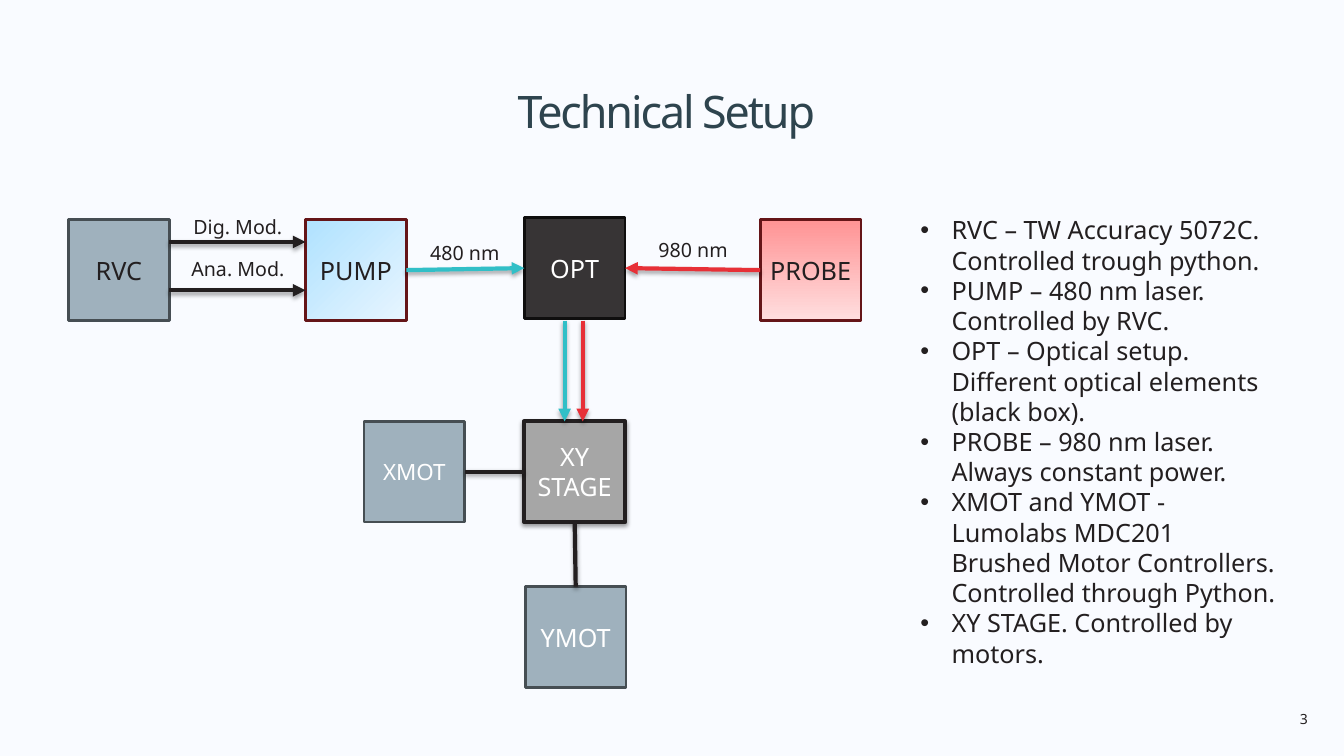
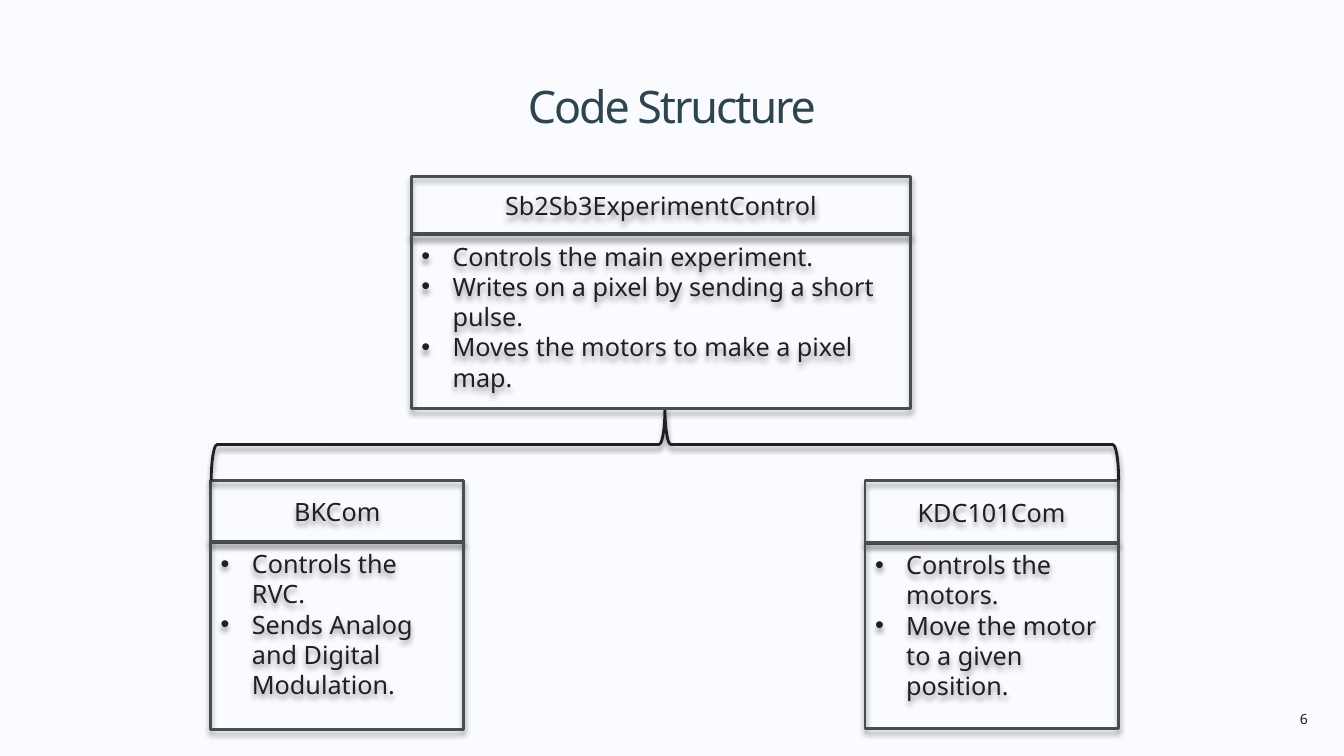
from lxml.etree import SubElement
from pptx import Presentation
from pptx.dml.color import RGBColor
from pptx.enum.shapes import MSO_CONNECTOR, MSO_SHAPE
from pptx.enum.text import MSO_ANCHOR, PP_ALIGN
from pptx.oxml.ns import qn
from pptx.util import Pt

SCALE = 9144  # EMU in one px, 100 px to the inch
FONT = "Noto Sans"
HUES = {
    "back": "F9FBFF", "title": "2E444E", "ink": "231F20", "white": "FFFFFF",
    "steel": "9FB1BD", "edge": "464E53", "stage": "A6A6A6", "rim": "0F0E0E",
    "wine": "651518", "cyan": "31BFC7", "red": "E73037", "black": "000000",
    "sky": "B0E2FF", "pale": "E7F5FF", "rose": "FF9394", "blush": "FFDEDF",
}
SIDE = 100
INDENT = 31
TOP, LEFT, BASE, RIGHT = range(4)


def px(*vals):
    return [val * SCALE for val in vals]


def hue(name):
    return RGBColor.from_string(HUES[name])


def shade(item, blur, dist, alpha):
    """Give a shape or connector a soft shadow straight below it."""
    props = item._element.spPr
    list_ = props.find(qn("a:effectLst"))
    if list_ is None:
        list_ = SubElement(props, qn("a:effectLst"))
    glow = SubElement(list_, qn("a:outerShdw"), blurRad=str(Pt(blur)),
                      dist=str(Pt(dist)), dir="5400000", rotWithShape="0")
    tint = SubElement(glow, qn("a:srgbClr"), val=HUES["black"])
    SubElement(tint, qn("a:alpha"), val=str(alpha * 1000))


def dot(para):
    props = para._p.get_or_add_pPr()
    props.set("marL", str(INDENT * SCALE))
    props.set("indent", str(-INDENT * SCALE))
    SubElement(props, qn("a:buFont"), typeface="Arial")
    SubElement(props, qn("a:buChar"), char="•")


def write(frame, lines, size=18, ink="ink", align=PP_ALIGN.CENTER,
          dots=False, space=None):
    frame.word_wrap = True
    for num, line in enumerate(lines):
        para = frame.add_paragraph() if num else frame.paragraphs[0]
        para.alignment = align
        if dots:
            dot(para)
        run = para.add_run()
        run.text = line
        font = run.font
        font.name, font.size = FONT, Pt(size)
        font.color.rgb = hue(ink)
        if space:
            run._r.get_or_add_rPr().set("spc", str(space))


def label(slide, box, lines, anchor=MSO_ANCHOR.TOP, **style):
    frame = slide.shapes.add_textbox(*px(*box)).text_frame
    frame.vertical_anchor = anchor
    write(frame, lines, **style)


def outline(slide, kind, box, edge, width=2):
    """Add an unfilled, unshadowed shape with a plain line."""
    shape = slide.shapes.add_shape(kind, *px(*box))
    shape.shadow.inherit = False
    shape.fill.background()
    shape.line.color.rgb = hue(edge)
    shape.line.width = Pt(width)
    return shape


def node(slide, x, y, text, fill="steel", edge="edge", ink="ink",
         size=18, width=2):
    """Add a square part; a fill of (from, to, angle) is a gradient."""
    shape = outline(slide, MSO_SHAPE.RECTANGLE, (x, y, SIDE, SIDE), edge, width)
    if isinstance(fill, tuple):
        *ends, angle = fill
        shape.fill.gradient()
        shape.fill.gradient_angle = angle
        for stop, name in zip(shape.fill.gradient_stops, ends):
            stop.color.rgb = hue(name)
    else:
        shape.fill.solid()
        shape.fill.fore_color.rgb = hue(fill)
    frame = shape.text_frame
    frame.margin_left = frame.margin_right = 5 * SCALE
    frame.vertical_anchor = MSO_ANCHOR.MIDDLE
    write(frame, [text], size, ink)
    return shape


def wire(slide, ends, color="ink", arrow=True):
    line = slide.shapes.add_connector(MSO_CONNECTOR.STRAIGHT, *px(*ends))
    line.line.color.rgb = hue(color)
    line.line.width = Pt(3)
    if arrow:
        SubElement(line.line._get_or_add_ln(), qn("a:tailEnd"), type="triangle")
    shade(line, 3.1, 1.8, 35)
    return line


def join(slide, start, out, end, into, **style):
    line = wire(slide, (0, 0, 0, 0), **style)
    line.begin_connect(start, out)
    line.end_connect(end, into)


def card(slide, box, head, name, notes):
    """Draw a class box: its name in the head, its duties below."""
    x, y, w, h = box
    seam = head - 1
    top = outline(slide, MSO_SHAPE.RECTANGLE, (x, y, w, head), "edge")
    body = outline(slide, MSO_SHAPE.RECTANGLE,
                   (x, y + seam, w, h - seam), "edge")
    for part in (top, body):
        shade(part, 4, 3, 40)
    top.text_frame.vertical_anchor = MSO_ANCHOR.MIDDLE
    write(top.text_frame, [name])
    body.text_frame.vertical_anchor = MSO_ANCHOR.TOP
    body.text_frame.margin_top = 7 * SCALE
    write(body.text_frame, notes, align=PP_ALIGN.LEFT, dots=True)


def page(deck, title, box, number):
    slide = deck.slides.add_slide(deck.slide_layouts[6])
    slide.background.fill.solid()
    slide.background.fill.fore_color.rgb = hue("back")
    label(slide, (1202, 700, 105, 27), [number], size=10, align=PP_ALIGN.RIGHT)
    label(slide, box, [title], MSO_ANCHOR.BOTTOM, size=32, ink="title",
          space=-150)
    return slide


def lab(slide, x, y):
    """Draw the block diagram from its top left corner."""
    node(slide, x, y, "RVC")
    pump = node(slide, x + 235, y, "PUMP", ("sky", "pale", 315), "wine")
    probe = node(slide, x + 686, y, "PROBE", ("rose", "blush", 270), "wine")
    opt = node(slide, x + 452, y - 2, "OPT", "ink", "rim", "white")
    tint = opt.fill._xPr.find(qn("a:solidFill"))[0]
    SubElement(tint, qn("a:alpha"), val="90000")
    stage = node(slide, x + 452, y + 200, "XY STAGE", "stage", "ink", "white",
                 width=3)
    shade(stage, 3.1, 1.6, 38)
    xmot = node(slide, x + 293, y + 200, "XMOT", ink="white", size=16)
    ymot = node(slide, x + 453, y + 364, "YMOT", ink="white")

    for drop in (22, 70):
        wire(slide, (x + SIDE, y + drop, x + 235, y + drop))
    for shift, color in ((492, "cyan"), (510, "red")):
        wire(slide, (x + shift, y + 100, x + shift, y + 200), color)
    join(slide, pump, RIGHT, opt, LEFT, color="cyan")
    join(slide, probe, LEFT, opt, RIGHT, color="red")
    join(slide, stage, BASE, ymot, TOP, arrow=False)
    join(slide, xmot, RIGHT, stage, LEFT, arrow=False)

    for left, top, wide, text in (
            (334, 16, 118, "480 nm"), (553, 13, 133, "980 nm"),
            (101, -10, 134, "Dig. Mod."), (101, 32, 134, "Ana. Mod.")):
        label(slide, (x + left, y + top, wide, 34), [text], size=14)


def setup(deck):
    slide = page(deck, "Technical Setup", (68, 39, 1186, 102), "3")
    lab(slide, 68, 218)
    label(slide, (903, 208, 374, 495), [
        "RVC – TW Accuracy 5072C. Controlled trough python.",
        "PUMP – 480 nm laser. Controlled by RVC.",
        "OPT – Optical setup. Different optical elements (black box).",
        "PROBE – 980 nm laser. Always constant power.",
        "XMOT and YMOT - Lumolabs MDC201 Brushed Motor Controllers. "
        "Controlled through Python.",
        "XY STAGE. Controlled by motors.",
    ], align=PP_ALIGN.LEFT, dots=True)


def code(deck):
    slide = page(deck, "Code Structure", (0, 34, 1333, 102), "6")
    card(slide, (209, 477, 251, 247), 61, "BKCom",
         ["Controls the RVC.", "Sends Analog and Digital Modulation."])
    card(slide, (858, 477, 251, 246), 62, "KDC101Com",
         ["Controls the motors.", "Move the motor to a given position."])
    brace = outline(slide, MSO_SHAPE.LEFT_BRACE, (624, -9, 71, 900), "ink")
    brace.rotation = 90
    shade(brace, 4, 3, 40)
    card(slide, (408, 175, 495, 230), 58, "Sb2Sb3ExperimentControl",
         ["Controls the main experiment.",
          "Writes on a pixel by sending a short pulse.",
          "Moves the motors to make a pixel map."])


def main():
    deck = Presentation()
    deck.slide_width, deck.slide_height = px(1333, 750)
    setup(deck)
    code(deck)
    deck.save("out.pptx")


if __name__ == "__main__":
    main()
